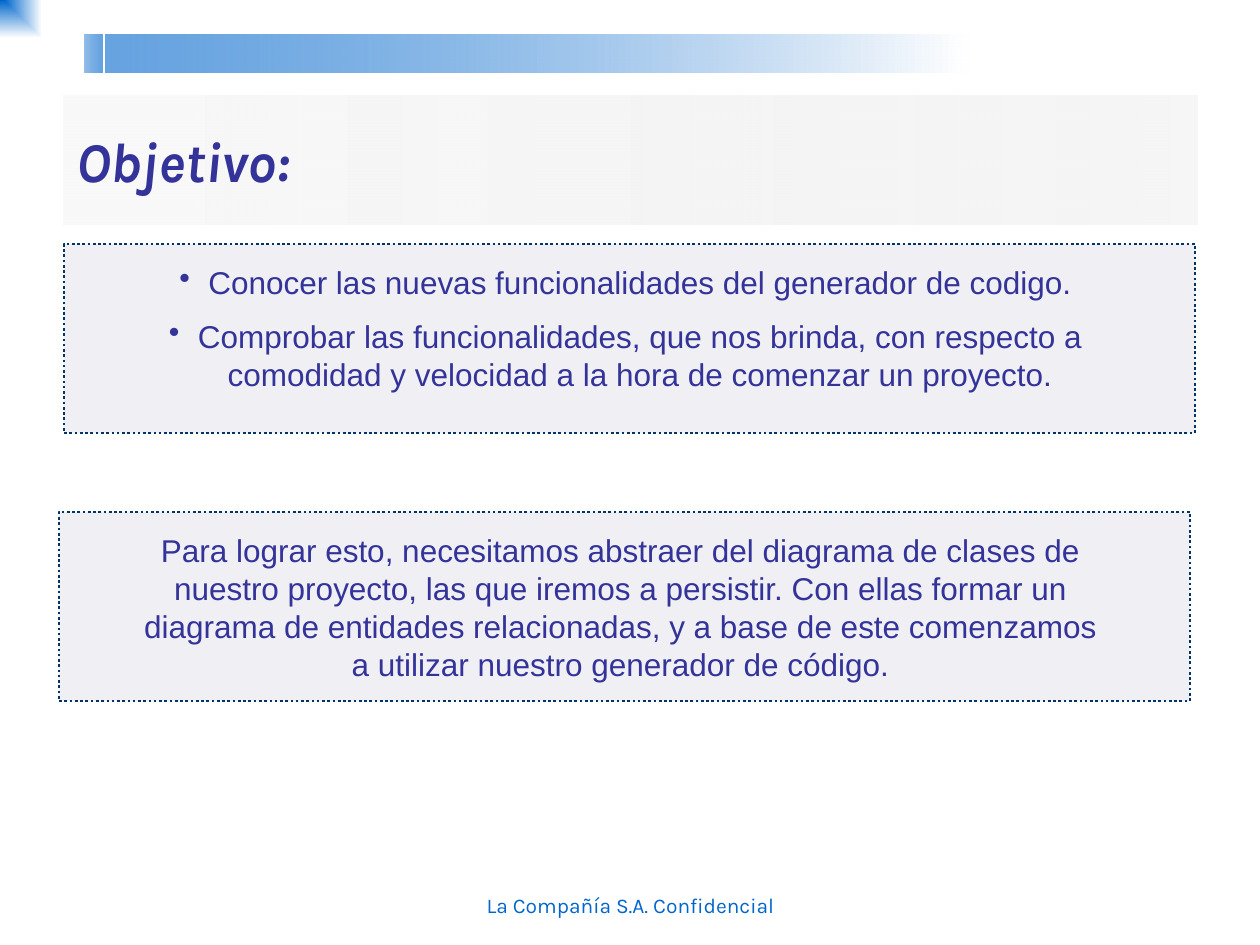
from lxml import etree
from pptx import Presentation
from pptx import util as u
from pptx.dml.color import RGBColor
from pptx.enum import dml, shapes, text
from pptx.oxml.ns import qn

PX = 914400 / 126
BLUE = RGBColor(0x00, 0x66, 0xCC)
WHITE = RGBColor(0xFF, 0xFF, 0xFF)
PALE = RGBColor(0xF9, 0xF9, 0xF9)
GREY = RGBColor(0xEA, 0xEA, 0xEA)
SLATE = RGBColor(0x66, 0x66, 0x99)
NAVY = RGBColor(0x00, 0x33, 0x66)
INDIGO = RGBColor(0x33, 0x33, 0x99)

deck = Presentation()
deck.slide_width = round(1260 * PX)
deck.slide_height = round(945 * PX)
slide = deck.slides.add_slide(deck.slide_layouts[6])


def add_box(*area):
    box = slide.shapes.add_shape(
        shapes.MSO_SHAPE.RECTANGLE, *[round(n * PX) for n in area])
    box.shadow.inherit = False
    box.line.fill.background()
    return box


def add_text(area, lines, font, size, color):
    box = slide.shapes.add_textbox(*[round(n * PX) for n in area])
    frame = box.text_frame
    frame.word_wrap = True
    frame.text = "\n".join(lines)
    for par in frame.paragraphs:
        par.alignment = text.PP_ALIGN.CENTER
        par.font.name = font
        par.font.size = u.Pt(size)
        par.font.color.rgb = color
    return frame


bands = [
    ((105, 35, 863, 38), (BLUE, 60), (WHITE, 100)),
    ((64, 35, 39, 38), (WHITE, 100), (BLUE, 60)),
    ((0, 0, 84, 76), (BLUE, 100), (WHITE, 100)),
    ((64, 96, 1134, 129), (PALE, 100), (GREY, 40)),
]
made = []
for area, *ends in bands:
    band = add_box(*area)
    band.fill.gradient()
    band.fill.gradient_angle = 0
    for stop, (color, _) in zip(band.fill.gradient_stops, ends):
        stop.color.rgb = color
    tints = band._element.spPr.iter(qn("a:srgbClr"))
    for tint, (_, alpha) in zip(tints, ends):
        if alpha < 100:
            etree.SubElement(tint, qn("a:alpha"), val=str(alpha * 1000))
    made.append(band)

corner, title = made[2:]
grad = corner._element.spPr.find(qn("a:gradFill"))
grad.remove(grad.find(qn("a:lin")))
burst = etree.SubElement(grad, qn("a:path"), {"path": "rect"})
etree.SubElement(burst, qn("a:fillToRect"), r="100000", b="100000")

frame = title.text_frame
frame.text = "Objetivo:"
frame.vertical_anchor = text.MSO_ANCHOR.MIDDLE
head = frame.paragraphs[0]
head.alignment = text.PP_ALIGN.LEFT
head.font.name = "Karla"
head.font.size = u.Pt(32)
head.font.bold = head.font.italic = True
head.font.color.rgb = INDIGO

foot = add_text((431, 861, 399, 63), ["La Compañía S.A. Confidencial"],
                "Karla", 12, BLUE)
foot.vertical_anchor = text.MSO_ANCHOR.BOTTOM

goals = [
    "Conocer las nuevas funcionalidades del generador de codigo.",
    "Comprobar las funcionalidades, que nos brinda, con respecto a "
    "comodidad y velocidad a la hora de comenzar un proyecto.",
]
means = [
    "Para lograr esto, necesitamos abstraer del diagrama de clases de "
    "nuestro proyecto, las que iremos a persistir. Con ellas formar un "
    "diagrama de entidades relacionadas, y a base de este comenzamos "
    "a utilizar nuestro generador de código.",
]
panels = [(64, 244, 204, goals, True), (59, 512, 165, means, False)]
for left, top, tall, lines, listed in panels:
    panel = add_box(left, top, 1131, 189)
    panel.fill.solid()
    panel.fill.fore_color.rgb = SLATE
    tint = panel._element.spPr.find(".//" + qn("a:srgbClr"))
    etree.SubElement(tint, qn("a:alpha"), val="10000")
    panel.line.color.rgb = NAVY
    panel.line.width = u.Pt(1.5)
    panel.line.dash_style = dml.MSO_LINE.ROUND_DOT
    body = add_text((left + 70, top + 13, 983, tall), lines,
                    "Arial", 18, INDIGO)
    for par in body.paragraphs:
        par.space_before = u.Pt(9)
        if listed:
            props = par._p.get_or_add_pPr()
            props.set("marL", str(round(29 * PX)))
            props.set("indent", str(round(-29 * PX)))
            dot = etree.Element(qn("a:buChar"), char="•")
            props.find(qn("a:defRPr")).addprevious(dot)

deck.save("out.pptx")
